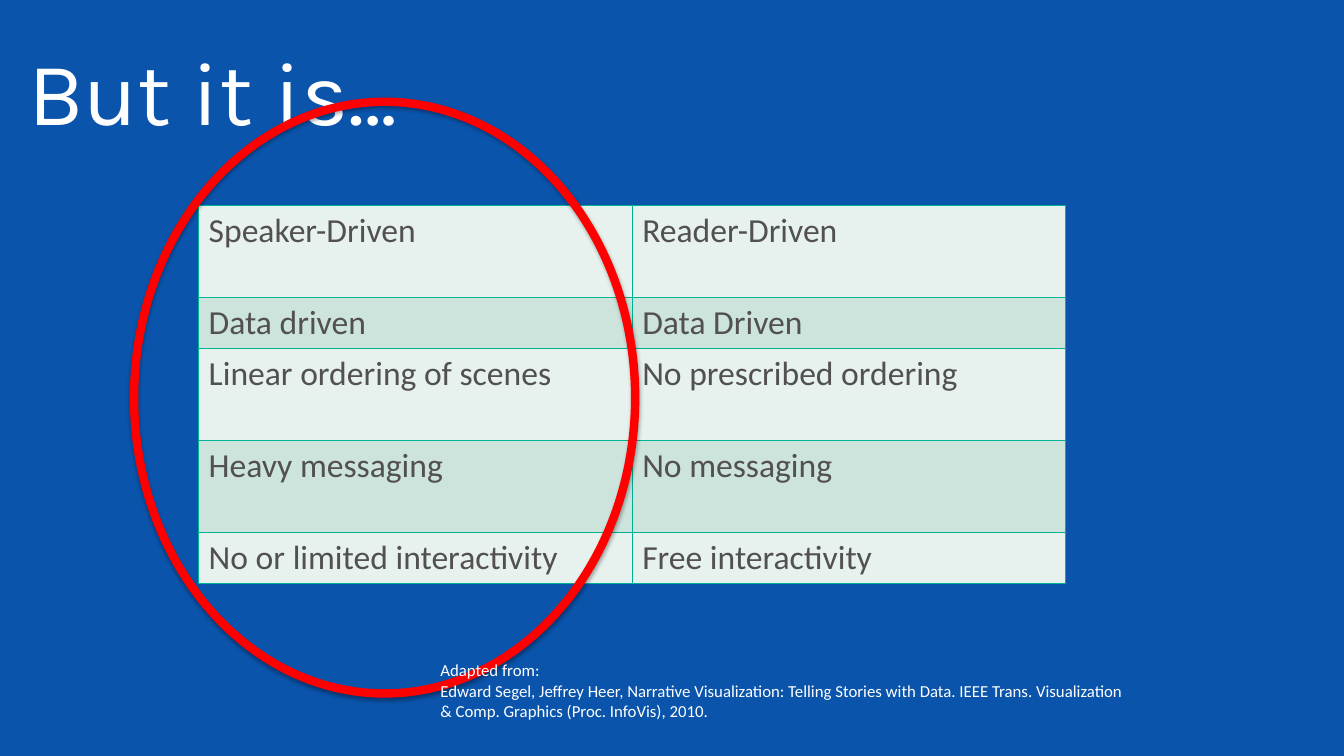
from pptx import Presentation
from pptx.util import Inches, Pt
from pptx.dml.color import RGBColor as Rgb
from pptx.enum.shapes import MSO_SHAPE as Shape
from pptx.enum.text import MSO_ANCHOR as Anchor
from pptx.oxml import parse_xml
from pptx.oxml.ns import nsdecls

INK = {
    "back": "0A54AC",
    "white": "FFFFFF",
    "text": "525051",
    "light": "E7F2EE",
    "mint": "CCE4DC",
    "rule": "00B294",
    "ring": "FF0000",
    "shade": "000000",
}


class Page:
    def __init__(self, deck):
        self.slide = deck.slides.add_slide(deck.slide_layouts[6])
        self.shapes = self.slide.shapes
        self.font = "Calibri"
        self.paint(self.slide.background.fill, "back")

    def paint(self, fill, ink):
        fill.solid()
        fill.fore_color.rgb = Rgb.from_string(INK[ink])

    def label(self, para, words, size, ink, font=None):
        run = para.add_run()
        run.text = words
        run.font.name = font or self.font
        run.font.size = Pt(size)
        run.font.color.rgb = Rgb.from_string(INK[ink])

    def text(self, box, lines, size, font=None, anchor=Anchor.TOP):
        frame = self.shapes.add_textbox(*map(Inches, box)).text_frame
        frame.word_wrap = True
        frame.vertical_anchor = anchor
        for i, line in enumerate(lines):
            para = frame.add_paragraph() if i else frame.paragraphs[0]
            self.label(para, line, size, "white", font)

    def edge(self, cell):
        props = cell._tc.get_or_add_tcPr()
        for i, side in enumerate("LRTB"):
            props.insert(i, parse_xml(
                f'<a:ln{side} {nsdecls("a")} w="{Pt(1)}"><a:solidFill>'
                f'<a:srgbClr val="{INK["rule"]}"/></a:solidFill></a:ln{side}>'))

    def table(self, left, top, width, rows, highs):
        cols = len(rows[0])
        box = map(Inches, (left, top, width * cols, sum(highs)))
        grid = self.shapes.add_table(len(rows), cols, *box).table
        grid.first_row = grid.horz_banding = False
        for col in grid.columns:
            col.width = Inches(width)
        for r, (row, high) in enumerate(zip(rows, highs)):
            grid.rows[r].height = Inches(high)
            for c, words in enumerate(row):
                cell = grid.cell(r, c)
                self.paint(cell.fill, "mint" if r % 2 else "light")
                self.edge(cell)
                self.label(cell.text_frame.paragraphs[0], words, 24, "text")

    def ring(self, box, width):
        oval = self.shapes.add_shape(Shape.OVAL, *map(Inches, box))
        oval.shadow.inherit = False
        oval.fill.background()
        oval.line.width = Pt(width)
        self.paint(oval.line.fill, "ring")
        oval._element.spPr.find("{*}effectLst").append(parse_xml(
            f'<a:outerShdw {nsdecls("a")} blurRad="{Pt(3.1)}" '
            f'dist="{Pt(1.8)}" dir="5400000" rotWithShape="0">'
            f'<a:srgbClr val="{INK["shade"]}"><a:alpha val="35000"/>'
            '</a:srgbClr></a:outerShdw>'))


def main():
    deck = Presentation()
    deck.slide_width = Inches(13.33)
    deck.slide_height = Inches(7.5)
    page = Page(deck)
    page.text((0.18, 0.26, 12, 1.25), ["But it is…"], 64, "Karla", Anchor.MIDDLE)
    rows = [
        ("Speaker-Driven", "Reader-Driven"),
        ("Data driven", "Data Driven"),
        ("Linear ordering of scenes", "No prescribed ordering"),
        ("Heavy messaging", "No messaging"),
        ("No or limited interactivity", "Free interactivity"),
    ]
    tall, short = 0.91, 0.51
    page.table(1.97, 2.04, 4.3, rows, (tall, short, tall, tall, short))
    page.ring((1.33, 1.01, 4.97, 5.87), 6)
    page.text((4.27, 6.5, 7, 0.71), [
        "Adapted from:",
        "Edward Segel, Jeffrey Heer, Narrative Visualization: Telling Stories "
        "with Data. IEEE Trans. Visualization & Comp. Graphics "
        "(Proc. InfoVis), 2010.",
    ], 12)
    deck.save("out.pptx")


if __name__ == "__main__":
    main()
